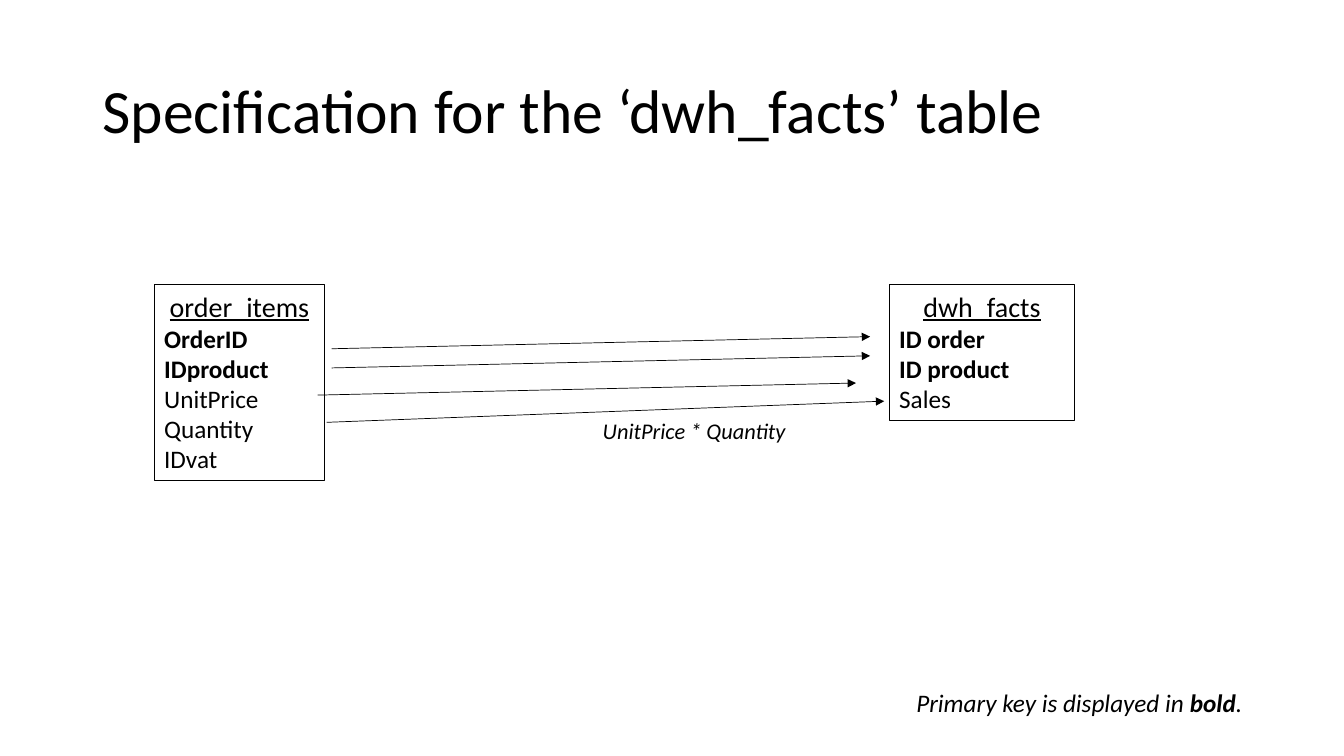
from dataclasses import dataclass

from lxml import etree
from pptx import Presentation
from pptx import util as u
from pptx.dml.color import RGBColor
from pptx.enum import shapes, text
from pptx.oxml import ns


@dataclass(frozen=True)
class Theme:
    """Colours, font and sizes of the slide."""
    ink: RGBColor = RGBColor(0, 0, 0)
    font: str = "Calibri"
    title: int = 44
    head: int = 20
    body: int = 18
    note: int = 16
    edge: float = 0.75
    arrow: float = 0.5


class Deck:
    """Draws elements on the current slide in one style."""

    def __init__(self, slide, theme):
        """Keep the slide and its theme."""
        self.slide, self.theme = slide, theme

    def style(self, font, size, bold=None, italic=None, under=None):
        """Set the look of a paragraph font."""
        font.name, font.size = self.theme.font, u.Pt(size)
        font.color.rgb = self.theme.ink
        font.bold, font.italic, font.underline = bold, italic, under

    def label(self, box, parts, size, italic=None, wrap=False):
        """Add a text box of (words, bold) parts; return it."""
        item = self.slide.shapes.add_textbox(*map(u.Inches, box))
        frame = item.text_frame
        frame.word_wrap = wrap
        para = frame.paragraphs[0]
        self.style(para.font, size, italic=italic)
        for words, bold in parts:
            run = para.add_run()
            run.text = words
            if bold:
                run.font.bold = True
        return item

    def title(self, box, words):
        """Add the slide title, centred in height."""
        frame = self.label(box, [(words, False)], self.theme.title, wrap=True).text_frame
        frame.vertical_anchor = text.MSO_ANCHOR.MIDDLE
        frame.paragraphs[0].line_spacing = 0.9

    def entity(self, box, name, keys, fields):
        """Add a table outline with its name, bold keys and fields."""
        item = self.slide.shapes.add_shape(
            shapes.MSO_SHAPE.RECTANGLE, *map(u.Inches, box))
        item.shadow.inherit = False
        item.fill.background()
        item.line.color.rgb = self.theme.ink
        item.line.width = u.Pt(self.theme.edge)
        frame = item.text_frame
        frame.word_wrap = True
        frame.vertical_anchor = text.MSO_ANCHOR.TOP
        head = frame.paragraphs[0]
        head.text, head.alignment = name, text.PP_ALIGN.CENTER
        self.style(head.font, self.theme.head, under=True)
        for field in keys + fields:
            para = frame.add_paragraph()
            para.text, para.alignment = field, text.PP_ALIGN.LEFT
            self.style(para.font, self.theme.body, bold=field in keys)

    def arrow(self, start, end):
        """Add a thin arrow from start to end."""
        line = self.slide.shapes.add_connector(
            shapes.MSO_CONNECTOR.STRAIGHT, *map(u.Inches, start + end))
        line.line.color.rgb = self.theme.ink
        line.line.width = u.Pt(self.theme.arrow)
        etree.SubElement(line.line._get_or_add_ln(), ns.qn("a:tailEnd"), type="triangle")
        etree.SubElement(line._element.spPr, ns.qn("a:effectLst"))


def main():
    """Build and save the slide."""
    show = Presentation()
    show.slide_width, show.slide_height = u.Inches(13.33), u.Inches(7.5)
    theme = Theme()
    deck = Deck(show.slides.add_slide(show.slide_layouts[6]), theme)

    deck.title((0.92, 0.4, 11.5, 1.45), "Specification for the ‘dwh_facts’ table")
    deck.entity((8.82, 2.82, 1.84, 1.35), "dwh_facts",
                ["ID order", "ID product"], ["Sales"])
    deck.label((8.99, 6.77, 3.47, 0.4),
               [("Primary key is displayed in ", False), ("bold", True), (".", False)],
               theme.body, italic=True)
    deck.entity((1.53, 2.82, 1.69, 1.95), "order_items",
                ["OrderID", "IDproduct"], ["UnitPrice", "Quantity", "IDvat"])

    run, rise = 5.34, 0.12
    for left, top in [(3.29, 3.46), (3.29, 3.65), (3.15, 3.92)]:
        deck.arrow((left, top), (left + run, top - rise))
    deck.arrow((3.24, 4.19), (8.77, 3.98))
    deck.label((5.88, 4.09, 2.04, 0.37), [("UnitPrice * Quantity", False)],
               theme.note, italic=True)
    show.save("out.pptx")


main()
